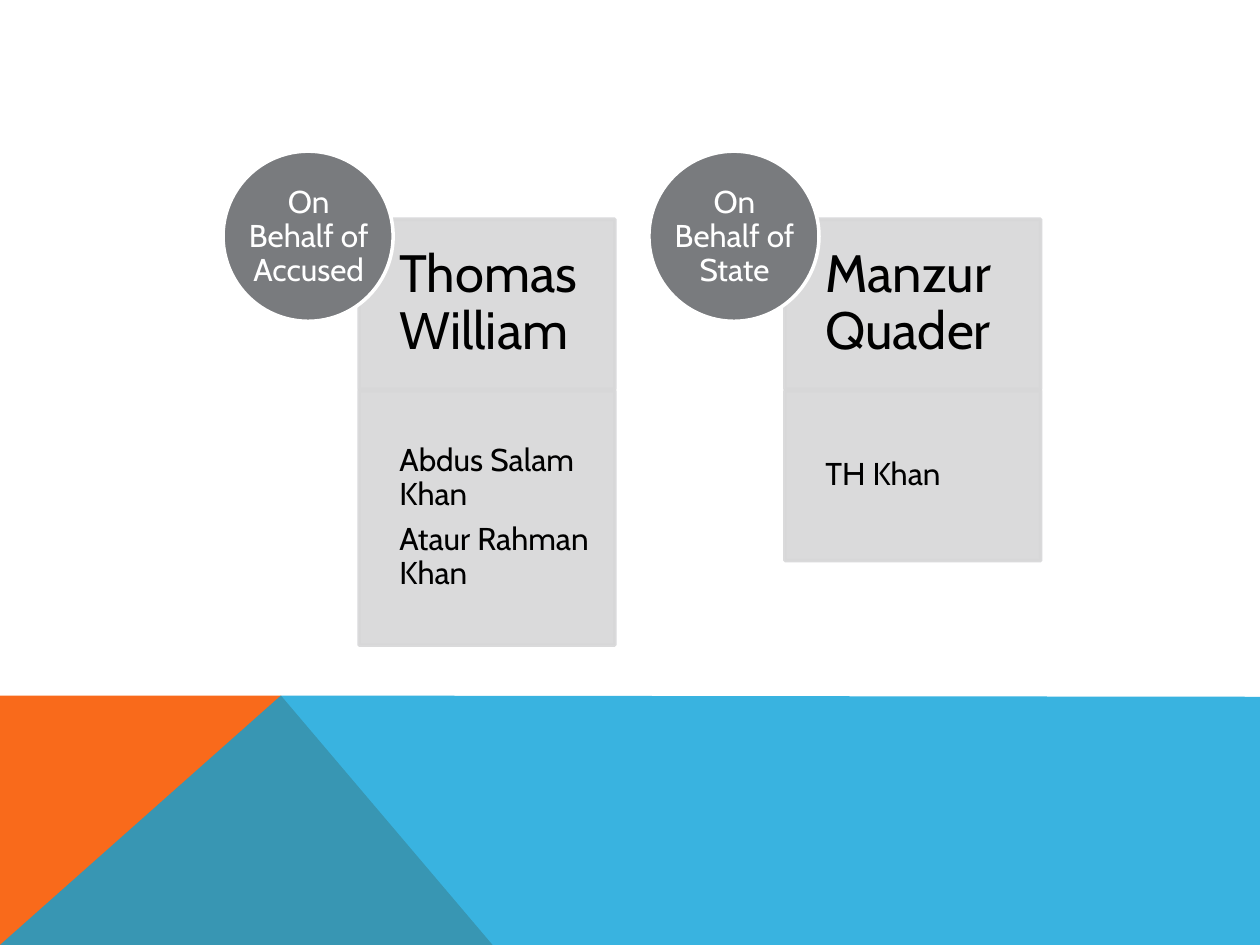
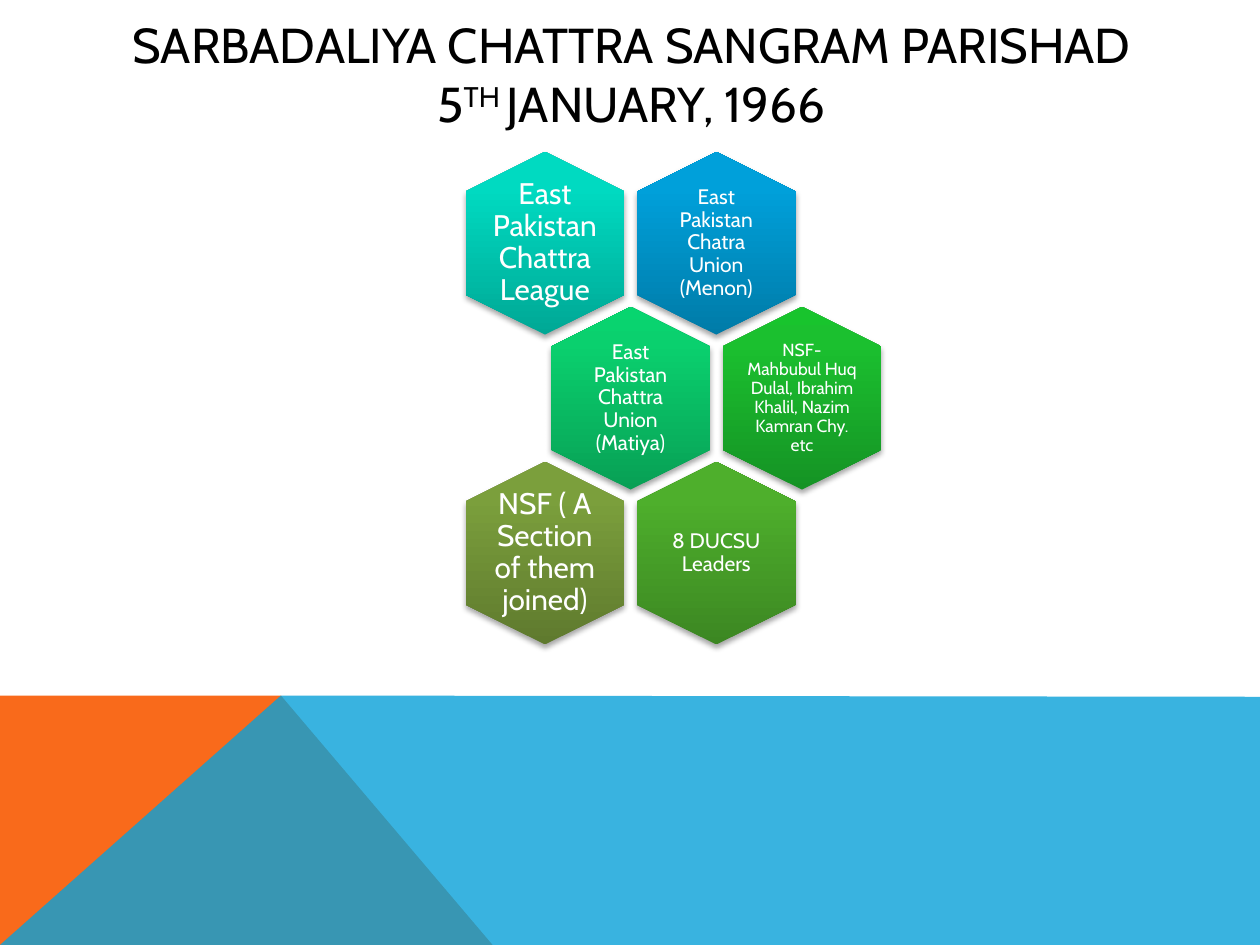
"""Build two slides: counsel for each side, and the members of a student alliance."""
from lxml.etree import SubElement
from pptx import Presentation
from pptx.dml.color import RGBColor
from pptx.enum.shapes import MSO_SHAPE
from pptx.enum.text import MSO_ANCHOR, PP_ALIGN
from pptx.oxml import parse_xml
from pptx.oxml.ns import nsdecls, qn
from pptx.util import Pt

PX = 9144
FONT = "Cabin"
BLACK, WHITE, ORANGE, BLUE = "000000", "FFFFFF", "F96A1B", "08A1D9"
PANEL, BADGE = "D7D7D8", "797B7E"

BANDS = [
    ([(0, 750), (0, 552), (223, 552), (391, 750)], ORANGE, 100),
    ([(0, 750), (223, 552), (1000, 553), (1000, 750)], BLUE, 80),
]

SIDES = [
    ("On Behalf of Accused", "Thomas William", ["Abdus Salam Khan", "Ataur Rahman Khan"], 202),
    ("On Behalf of State", "Manzur Quader", ["TH Khan"], 135),
]
SIDE_LEFT, SIDE_TOP, SIDE_STEP = 177, 120, 338
BADGE_SIZE, PANEL_W, HEAD_H = 135, 203, 135

TITLE = [
    [("SARBADALIYA CHATTRA SANGRAM PARISHAD", 0)],
    [("5", 0), ("TH ", 30), ("JANUARY, 1966", 0)],
]

MEMBERS = [
    [("East Pakistan Chattra League", 17, 0, ("00A895", "00DAC1", "00DBC2")),
     ("East Pakistan Chatra Union (Menon)", 12, 5, ("007BA8", "00A0DA", "00A0DB"))],
    [("East Pakistan Chattra Union (Matiya)", 12, 5, ("08A055", "0AD06E", "07D56F")),
     ("NSF- Mahbubul Huq Dulal, Ibrahim Khalil, Nazim Kamran Chy. etc", 10, 0,
      ("159324", "1BC02F", "18C42D"))],
    [("NSF ( A Section of them joined)", 17, 0, ("5F7A2E", "7B9F3C", "7CA13B")),
     ("8 DUCSU Leaders", 12, 5, ("3C8722", "4EAF2C", "4DB229"))],
]
HEX_LEFT, HEX_TOP, HEX_W, HEX_H = 360, 130, 145, 126
HEX_STEP_X, HEX_STEP_Y = 136, 123
GRADIENT_STOPS = (0, 80000, 100000)


def rgb(color):
    return RGBColor.from_string(color)


def px(*lengths):
    return [n * PX for n in lengths]


def paint(fill, color, alpha=100):
    fill.solid()
    fill.fore_color.rgb = rgb(color)
    if alpha < 100:
        solid = fill._xPr.find(qn("a:solidFill"))
        SubElement(solid[0], qn("a:alpha"), val=str(alpha * 1000))


def add_preset(slide, kind, box, color, line, alpha=100):
    sp = slide.shapes.add_shape(kind, *px(*box))
    sp.shadow.inherit = False
    paint(sp.fill, color, alpha)
    sp.line.width = Pt(2)
    paint(sp.line.fill, line, alpha)


def add_run(p, text, size, color):
    r = p.add_run()
    r.text = text
    r.font.size = Pt(size)
    r.font.name = FONT
    r.font.color.rgb = rgb(color)
    return r


def add_frame(slide, box, insets):
    tf = slide.shapes.add_textbox(*px(*box)).text_frame
    tf.word_wrap = True
    tf.vertical_anchor = MSO_ANCHOR.MIDDLE
    tf.margin_left, tf.margin_top, tf.margin_right, tf.margin_bottom = px(*insets)
    return tf


def add_text(slide, box, texts, size, color, insets, align=PP_ALIGN.LEFT):
    tf = add_frame(slide, box, insets)
    for i, text in enumerate(texts):
        p = tf.add_paragraph() if i else tf.paragraphs[0]
        p.alignment = align
        p.line_spacing = 0.9
        p.space_after = Pt(size * 0.35)
        add_run(p, text, size, color)


def add_bands(slide):
    for points, color, alpha in BANDS:
        builder = slide.shapes.build_freeform(*points[0], scale=PX)
        builder.add_line_segments(points[1:], close=True)
        sp = builder.convert_to_shape()
        sp.shadow.inherit = False
        sp.line.fill.background()
        paint(sp.fill, color, alpha)


def add_side(slide, left, badge, lead, juniors, juniors_h):
    panel_left, head_top = left + 108, SIDE_TOP + 54
    panels = [
        (head_top, HEAD_H, [lead], 30, 23),
        (head_top + HEAD_H + 1, juniors_h, juniors, 18, 14),
    ]
    for top, height, names, size, inset in panels:
        add_preset(slide, MSO_SHAPE.RECTANGLE, (panel_left, top, PANEL_W, height),
                   PANEL, PANEL, 90)
        add_text(slide, (panel_left + 32, top, 170, height), names, size, BLACK,
                 (0, inset, inset, inset))
    add_preset(slide, MSO_SHAPE.OVAL, (left, SIDE_TOP, BADGE_SIZE, BADGE_SIZE), BADGE, WHITE)
    add_text(slide, (left + 20, SIDE_TOP + 20, 96, 96), [badge], 18, WHITE,
             (0, 0, 0, 0), PP_ALIGN.CENTER)


def add_title(slide):
    tf = add_frame(slide, (90, 17, 822, 83), (10, 5, 10, 5))
    p = tf.paragraphs[0]
    p.alignment = PP_ALIGN.CENTER
    for i, line in enumerate(TITLE):
        if i:
            p.add_line_break()
        for text, raised in line:
            r = add_run(p, text, 28, BLACK)
            if raised:
                r.font._element.set("baseline", str(raised * 1000))


def add_hexagon(slide, left, top, text, size, inset, colors):
    sp = slide.shapes.add_shape(MSO_SHAPE.HEXAGON, *px(left, top, HEX_W, HEX_H))
    sp.rotation = 90
    sp.adjustments[0] = 0.25
    stops = "".join(f'<a:gs pos="{pos}"><a:srgbClr val="{color}"/></a:gs>'
                    for pos, color in zip(GRADIENT_STOPS, colors))
    gradient = (f'<a:gradFill {nsdecls("a")} rotWithShape="0"><a:gsLst>{stops}</a:gsLst>'
                '<a:lin ang="16200000" scaled="0"/></a:gradFill>')
    shadow = (f'<a:effectLst {nsdecls("a")}><a:outerShdw blurRad="40000" dist="23000" '
              'dir="5400000" rotWithShape="0"><a:srgbClr val="000000">'
              '<a:alpha val="35000"/></a:srgbClr></a:outerShdw></a:effectLst>')
    sp.line.fill.background()
    props = sp._element.spPr
    props.find(qn("a:prstGeom")).addnext(parse_xml(gradient))
    props.append(parse_xml(shadow))
    add_text(slide, (left + 29, top + 13, 87, 100), [text], size, WHITE,
             [inset] * 4, PP_ALIGN.CENTER)


def main():
    prs = Presentation()
    prs.slide_width, prs.slide_height = px(1000, 750)
    counsel, alliance = [prs.slides.add_slide(prs.slide_layouts[6]) for _ in range(2)]
    for slide in (counsel, alliance):
        add_bands(slide)
    for i, side in enumerate(SIDES):
        add_side(counsel, SIDE_LEFT + i * SIDE_STEP, *side)
    add_title(alliance)
    for row, members in enumerate(MEMBERS):
        for col, member in enumerate(members):
            left = HEX_LEFT + col * HEX_STEP_X + row % 2 * HEX_STEP_X // 2
            add_hexagon(alliance, left, HEX_TOP + row * HEX_STEP_Y, *member)
    prs.save("out.pptx")


if __name__ == "__main__":
    main()
